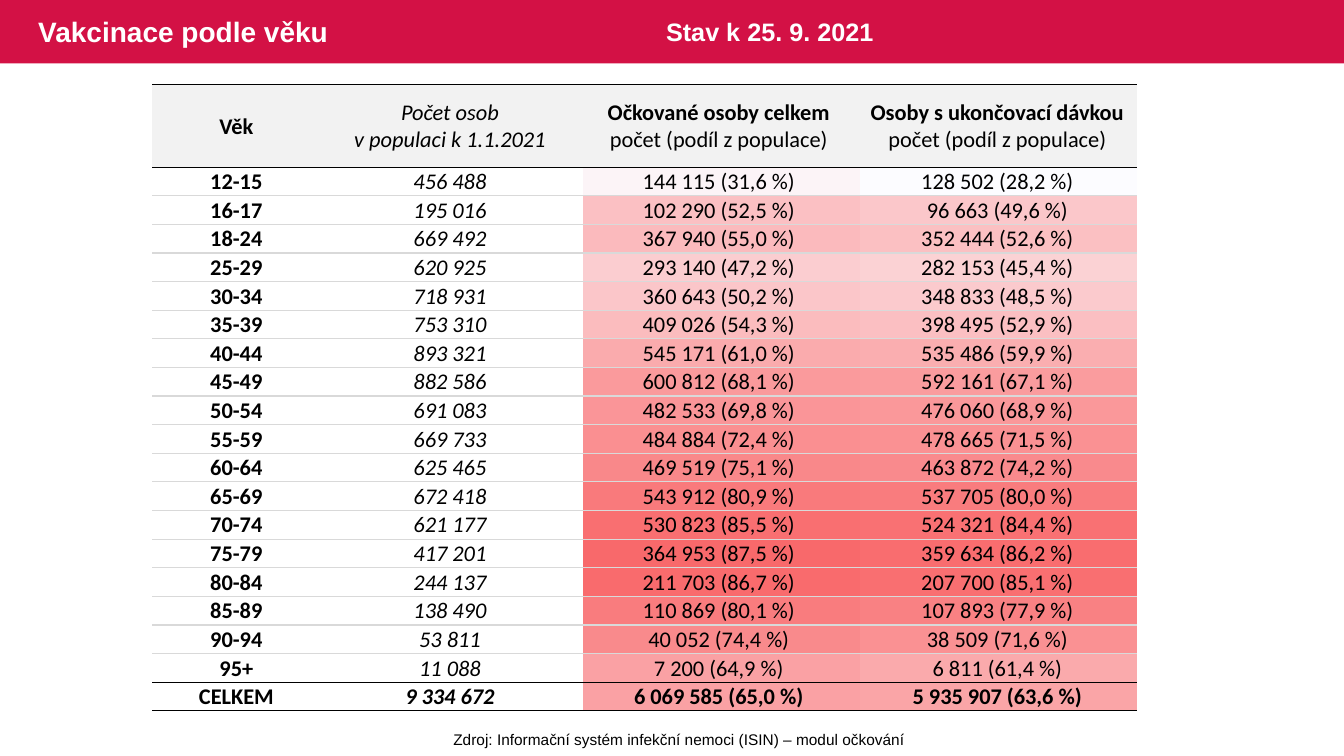
from math import ceil

from lxml.etree import SubElement
from pptx import Presentation
from pptx.dml.color import RGBColor
from pptx.enum.shapes import MSO_SHAPE as Shape
from pptx.enum.text import MSO_ANCHOR as Anchor, PP_ALIGN as Align
from pptx.oxml.ns import qn
from pptx.util import Pt

COLORS = {"band": "D31145", "white": "FFFFFF", "black": "000000",
          "header": "F2F2F2", "grid": "D9D9D9", "low": "FCFCFF", "high": "F8696B"}
PLAIN_STYLE = "{2D5ABB26-0587-4C30-8999-92F81FD0307C}"
ROW_HEIGHT = 20.46
HEADER_HEIGHT = 59
COLUMN_WIDTHS = [120.2, 185, 199, 199]
HEADERS = [["Věk"],
           ["Počet osob", "v populaci k 1.1.2021"],
           ["Očkované osoby celkem", "počet (podíl z populace)"],
           ["Osoby s ukončovací dávkou", "počet (podíl z populace)"]]
AGE_GROUPS = [
    ("12-15", 456488, 144115, 128502),
    ("16-17", 195016, 102290, 96663),
    ("18-24", 669492, 367940, 352444),
    ("25-29", 620925, 293140, 282153),
    ("30-34", 718931, 360643, 348833),
    ("35-39", 753310, 409026, 398495),
    ("40-44", 893321, 545171, 535486),
    ("45-49", 882586, 600812, 592161),
    ("50-54", 691083, 482533, 476060),
    ("55-59", 669733, 484884, 478665),
    ("60-64", 625465, 469519, 463872),
    ("65-69", 672418, 543912, 537705),
    ("70-74", 621177, 530823, 524321),
    ("75-79", 417201, 364953, 359634),
    ("80-84", 244137, 211703, 207700),
    ("85-89", 138490, 110869, 107893),
    ("90-94", 53811, 40052, 38509),
    ("95+", 11088, 7200, 6811),
    ("CELKEM", 9334672, 6069585, 5935907),
]


def rgb(name):
    """Return the named colour."""
    return RGBColor.from_string(COLORS[name])


def style_text(para, size, color, font="Arial", bold=False, italic=False):
    """Set the font of a whole paragraph."""
    para.font.name = font
    para.font.size = Pt(size)
    para.font.bold = bold
    para.font.italic = italic
    para.font.color.rgb = rgb(color)


def add_band(page):
    """Draw the coloured band along the top."""
    band = page.shapes.add_shape(Shape.RECTANGLE, 0, 0, Pt(960), Pt(45.2))
    band.shadow.inherit = False
    band.fill.solid()
    band.fill.fore_color.rgb = rgb("band")
    band.line.fill.background()


def add_label(page, text, place, size, color, bold=False, align=Align.LEFT, wrap=True):
    """Add a one-line text box centred vertically in its place."""
    box = page.shapes.add_textbox(*map(Pt, place))
    box.text_frame.word_wrap = wrap
    box.text_frame.vertical_anchor = Anchor.MIDDLE
    para = box.text_frame.paragraphs[0]
    para.text = text
    para.alignment = align
    style_text(para, size, color, bold=bold)


def add_plain_table(page, left, top, widths, heights):
    """Add a table without banding or grid."""
    frame = page.shapes.add_table(len(heights), len(widths), Pt(left), Pt(top),
                                  Pt(sum(widths)), Pt(sum(heights)))
    table = frame.table
    table.first_row = table.horz_banding = False
    frame.element.find(".//" + qn("a:tableStyleId")).text = PLAIN_STYLE
    for column, width in zip(table.columns, widths):
        column.width = Pt(width)
    for row, height in zip(table.rows, heights):
        row.height = Pt(height)
    for cell in table.iter_cells():
        cell.margin_left = cell.margin_right = cell.margin_top = Pt(0.7)
        cell.margin_bottom = 0
        cell.vertical_anchor = Anchor.MIDDLE
    return table


def add_border(cell, side, color):
    """Draw a one-point line on one side of a cell."""
    line = SubElement(cell._tc.get_or_add_tcPr(), qn(f"a:{side}"), w=str(Pt(1)))
    SubElement(SubElement(line, qn("a:solidFill")), qn("a:srgbClr"), val=COLORS[color])


def scale_color(position):
    """Blend the low and high ends of the colour scale."""
    return RGBColor(*(ceil(low + (high - low) * position)
                      for low, high in zip(rgb("low"), rgb("high"))))


def add_heat_table(page):
    """Colour the share of each age group from lowest to highest."""
    shares = [[count / population for count in counts]
              for _, population, *counts in AGE_GROUPS]
    lowest, highest = min(map(min, shares)), max(map(max, shares))
    table = add_plain_table(page, 416.2, 119.5, [198, 198], [ROW_HEIGHT] * len(shares))
    for row, pair in enumerate(shares):
        for column, share in enumerate(pair):
            cell = table.cell(row, column)
            cell.fill.solid()
            cell.fill.fore_color.rgb = scale_color((share - lowest) / (highest - lowest))
            SubElement(cell.text_frame.paragraphs[0]._p, qn("a:endParaRPr"), sz="1000")


def group_digits(number):
    """Write a number with spaces between thousands."""
    return f"{number:,}".replace(",", " ")


def count_with_share(count, population):
    """Write a count followed by its share of the population."""
    share = f"{count / population:.1%}".replace(".", ",").replace("%", " %")
    return f"{group_digits(count)} ({share})"


def add_age_table(page):
    """Add the table of vaccinated people by age group."""
    rows = [HEADERS]
    for age, population, *counts in AGE_GROUPS:
        rows.append([[age], [group_digits(population)],
                     *([count_with_share(count, population)] for count in counts)])
    total = len(rows) - 1
    heights = [HEADER_HEIGHT] + [ROW_HEIGHT] * total
    table = add_plain_table(page, 108.7, 60.4, COLUMN_WIDTHS, heights)
    for row, texts in enumerate(rows):
        for column, lines in enumerate(texts):
            cell = table.cell(row, column)
            add_border(cell, "lnT", "black" if row in (0, 1, total) else "grid")
            add_border(cell, "lnB", "black" if row in (0, total - 1, total) else "grid")
            if row == 0:
                cell.fill.solid()
                cell.fill.fore_color.rgb = rgb("header")
            else:
                cell.fill.background()
            cell.text_frame.text = "\n".join(lines)
            for index, para in enumerate(cell.text_frame.paragraphs):
                heading = row == 0 and column > 1 and index == 0
                para.alignment = Align.CENTER
                style_text(para, 16, "black", "Calibri",
                           bold=column == 0 or row == total or heading,
                           italic=column == 1)


def main():
    """Build the slide on vaccination by age."""
    deck = Presentation()
    deck.slide_width, deck.slide_height = Pt(960), Pt(540)
    page = deck.slides.add_slide(deck.slide_layouts[6])
    add_band(page)
    add_heat_table(page)
    add_label(page, "Vakcinace podle věku", (20.2, 0, 585.4, 45.2), 20, "white", bold=True)
    add_label(page, "Stav k 25. 9. 2021", (468.7, 8.2, 213.1, 29.1), 18, "white", bold=True)
    add_label(page, "Zdroj: Informační systém infekční nemoci (ISIN) – modul očkování",
              (316, 518, 338.4, 20.6), 11, "black", align=Align.CENTER, wrap=False)
    add_age_table(page)
    deck.save("out.pptx")


if __name__ == "__main__":
    main()
